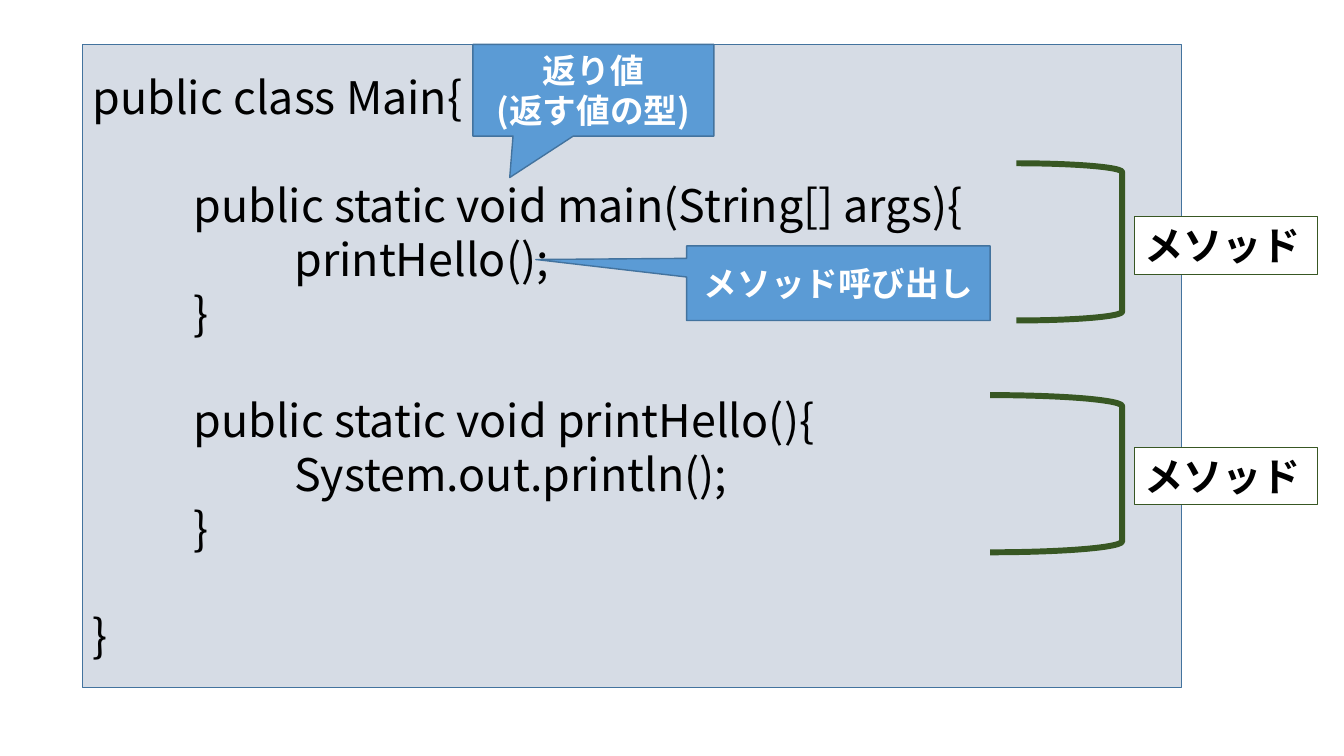
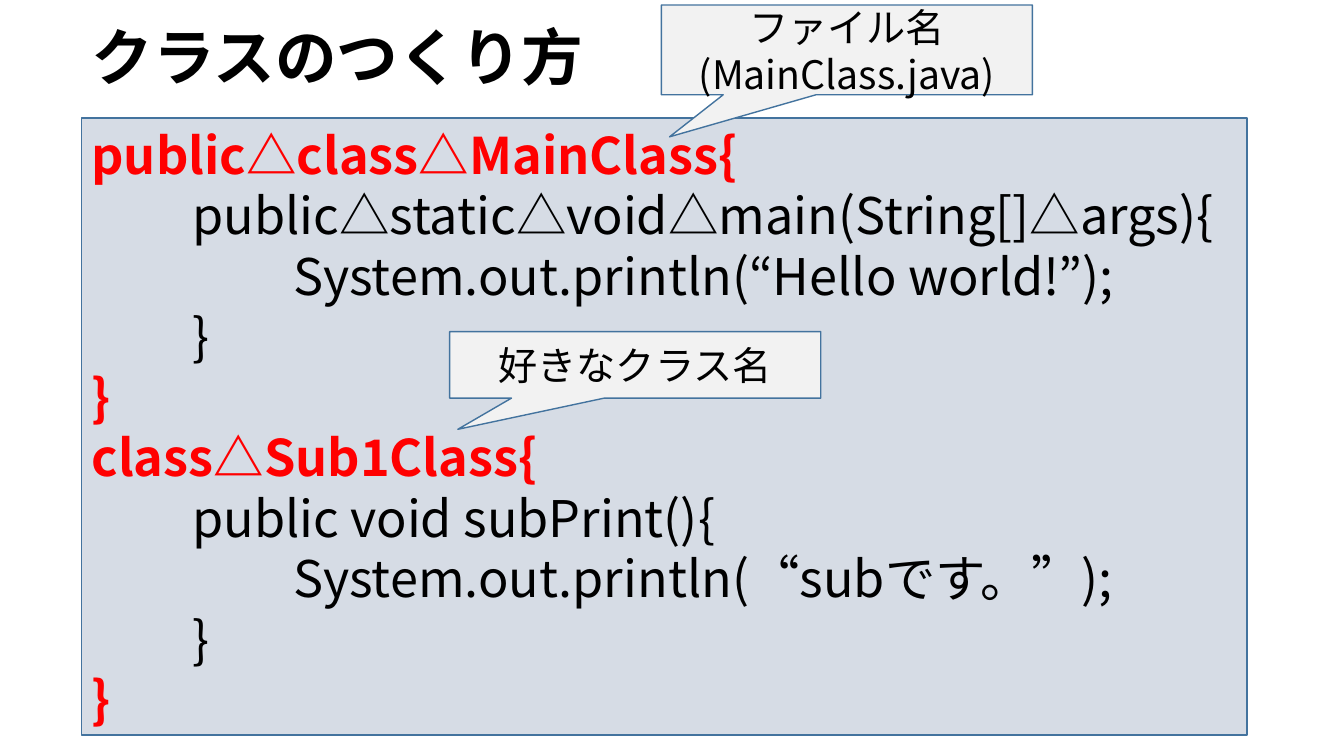
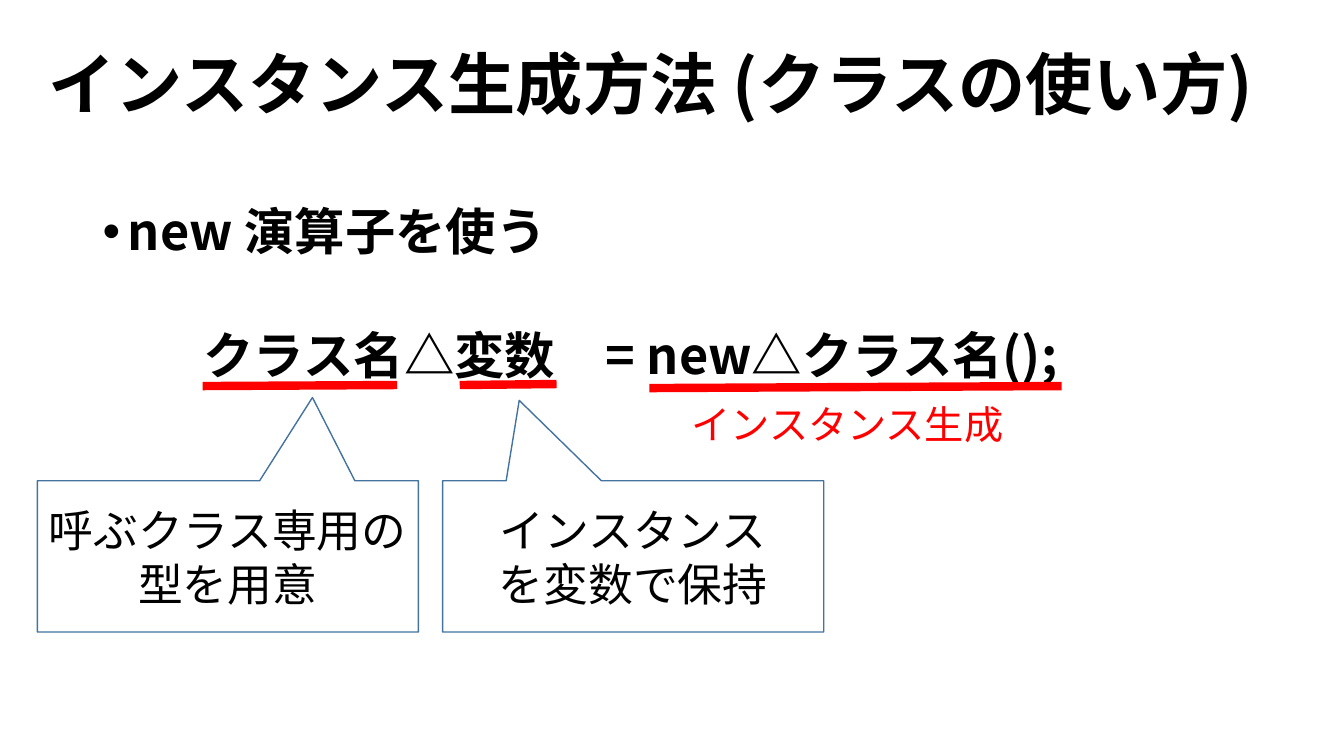
import pptx
import pptx.util
import pptx.dml.color
import pptx.enum.shapes
import pptx.enum.text
import pptx.oxml.ns
from lxml import etree

Inches = pptx.util.Inches
Pt = pptx.util.Pt
RGBColor = pptx.dml.color.RGBColor
SHAPE = pptx.enum.shapes.MSO_SHAPE
ANCHOR = pptx.enum.text.MSO_ANCHOR
ALIGN = pptx.enum.text.PP_ALIGN
qn = pptx.oxml.ns.qn

FONT = "Noto Sans CJK JP"
BLACK = RGBColor(0x00, 0x00, 0x00)
WHITE = RGBColor(0xFF, 0xFF, 0xFF)
RED = RGBColor(0xFF, 0x00, 0x00)
PANEL = RGBColor(0xD6, 0xDC, 0xE5)
BLUE = RGBColor(0x5B, 0x9B, 0xD5)
OUTLINE = RGBColor(0x43, 0x73, 0x9E)
GREEN = RGBColor(0x38, 0x57, 0x23)
PALE = RGBColor(0xF2, 0xF2, 0xF2)

LINE_GAP = 38.4
METHOD_CODE = [
    dict(text="public class Main{"),
    dict(text="public static void main(String[] args){", indent=1, before=LINE_GAP),
    dict(text="printHello();", indent=2),
    dict(text="}", indent=1),
    dict(text="public static void printHello(){", indent=1, before=LINE_GAP),
    dict(text="System.out.println();", indent=2),
    dict(text="}", indent=1),
    dict(text="}", before=LINE_GAP),
]
METHOD_CALLOUTS = [
    ((4.69, 0.44, 2.39, 0.91), (-0.347, 0.952), ["返り値", "(返す値の型)"]),
    ((6.81, 2.44, 3.01, 0.74), (-0.997, -0.318), ["メソッド呼び出し"]),
]
METHOD_BRACKETS = [(9.82, 3.92, 1.31, 1.56), (10.08, 1.62, 1.05, 1.56)]
METHOD_LABEL = "メソッド"
METHOD_LABEL_TOPS = [2.15, 4.44]

KEYWORD = dict(bold=True, color=RED)
CLASS_TITLE = "クラスのつくり方"
CLASS_CODE = [
    dict(text="public△class△MainClass{", **KEYWORD),
    dict(text="public△static△void△main(String[]△args){", indent=1),
    dict(text="System.out.println(“Hello world!”);", indent=2),
    dict(text="}", indent=1),
    dict(text="}", **KEYWORD),
    dict(text="class△Sub1Class{", **KEYWORD),
    dict(text="public void subPrint(){", indent=1),
    dict(text="System.out.println(“subです。”);", indent=2),
    dict(text="}", indent=1),
    dict(text="}", **KEYWORD),
]
CLASS_CALLOUTS = [
    ((6.56, 0.05, 3.68, 0.89), (-0.478, 0.969), ["ファイル名(MainClass.java)"]),
    ((4.46, 3.29, 3.68, 0.66), (-0.478, 0.969), ["好きなクラス名"]),
]

INSTANCE_TITLE = "インスタンス生成方法 (クラスの使い方)"
INSTANCE_BODY = [
    dict(text="new 演算子を使う", before=10, bullet="•"),
    dict(text="クラス名△変数\u3000= new△クラス名();".replace("\u3000", "　"), before=50, indent=1),
]
INSTANCE_UNDERLINES = [
    (2.01, 3.83, 3.94, 3.82),
    (4.56, 3.82, 5.52, 3.81),
    (6.44, 3.85, 10.53, 3.83),
]
INSTANCE_CALLOUTS = [
    ((0.37, 4.77, 3.78, 1.5), (0.222, -1.051), ["呼ぶクラス専用の型を用意"]),
    ((4.39, 4.77, 3.78, 1.5), (-0.299, -1.032), ["インスタンス", "を変数で保持"]),
]
INSTANCE_NOTE = "インスタンス生成"


def set_indent(paragraph, left, first=0):
    properties = paragraph._p.get_or_add_pPr()
    properties.set("marL", str(Inches(left)))
    properties.set("indent", str(Inches(first)))


def add_bullet(paragraph, character):
    set_indent(paragraph, 0.25, -0.25)
    font_defaults = paragraph._p.pPr.find(qn("a:defRPr"))
    for tag, attribute, value in (("a:buFont", "typeface", "Arial"), ("a:buChar", "char", character)):
        element = etree.Element(qn(tag))
        element.set(attribute, value)
        font_defaults.addprevious(element)


def write(shape, lines, size, color=BLACK, bold=False, align=ALIGN.LEFT,
          anchor=ANCHOR.MIDDLE, spacing=None, grow=False):
    frame = shape.text_frame
    frame.word_wrap = True
    frame.vertical_anchor = anchor
    if grow:
        frame.auto_size = pptx.enum.text.MSO_AUTO_SIZE.SHAPE_TO_FIT_TEXT
    for index, line in enumerate(lines):
        if isinstance(line, str):
            line = dict(text=line)
        paragraph = frame.paragraphs[0] if index == 0 else frame.add_paragraph()
        paragraph.add_run().text = line["text"]
        paragraph.alignment = align
        paragraph.line_spacing = spacing
        if "before" in line:
            paragraph.space_before = Pt(line["before"])
        font = paragraph.font
        font.name = FONT
        font.size = Pt(size)
        font.bold = line.get("bold", bold)
        font.color.rgb = line.get("color", color)
        east_asian = etree.SubElement(paragraph._p.pPr.find(qn("a:defRPr")), qn("a:ea"))
        east_asian.set("typeface", FONT)
        if "indent" in line:
            set_indent(paragraph, line["indent"])
        if "bullet" in line:
            add_bullet(paragraph, line["bullet"])


def add_box(slide, kind, box, fill, outline=OUTLINE, width=1):
    shape = slide.shapes.add_shape(kind, *map(Inches, box))
    shape.shadow.inherit = False
    if fill is None:
        shape.fill.background()
    else:
        shape.fill.solid()
        shape.fill.fore_color.rgb = fill
    shape.line.color.rgb = outline
    shape.line.width = Pt(width)
    return shape


def add_text(slide, box, lines, size, **style):
    write(slide.shapes.add_textbox(*map(Inches, box)), lines, size, **style)


def add_title(slide, box, text, size):
    add_text(slide, box, [text], size, bold=True, spacing=0.9)


def add_code(slide, box, lines, size):
    write(add_box(slide, SHAPE.RECTANGLE, box, PANEL), lines, size)


def add_callouts(slide, callouts, fill, size, **style):
    for box, pointer, lines in callouts:
        callout = add_box(slide, SHAPE.RECTANGULAR_CALLOUT, box, fill)
        for index, value in enumerate(pointer):
            callout.adjustments[index] = value
        write(callout, lines, size, align=ALIGN.CENTER, **style)


def add_underline(slide, ends):
    line = slide.shapes.add_connector(pptx.enum.shapes.MSO_CONNECTOR.STRAIGHT, *map(Inches, ends))
    line.line.color.rgb = RED
    line.line.width = Pt(6)
    etree.SubElement(line._element.spPr, qn("a:effectLst"))


def build_method_slide(slide):
    add_code(slide, (0.82, 0.44, 10.9, 6.38), METHOD_CODE, 32)
    add_callouts(slide, METHOD_CALLOUTS, BLUE, 24, color=WHITE, bold=True)
    for box in METHOD_BRACKETS:
        add_box(slide, SHAPE.RIGHT_BRACKET, box, None, GREEN, 4.25)
    for top in METHOD_LABEL_TOPS:
        label = add_box(slide, SHAPE.RECTANGLE, (11.25, top, 1.82, 0.57), WHITE, GREEN, 0.75)
        write(label, [METHOD_LABEL], 28, bold=True, anchor=ANCHOR.TOP, grow=True)


def build_class_slide(slide):
    add_title(slide, (0.81, 0.27, 11.5, 0.67), CLASS_TITLE, 44)
    add_code(slide, (0.81, 1.17, 11.56, 6.12), CLASS_CODE, 36)
    add_callouts(slide, CLASS_CALLOUTS, PALE, 28)


def build_instance_slide(slide):
    add_title(slide, (0.38, 0.27, 12.36, 1.2), INSTANCE_TITLE, 48)
    add_text(slide, (0.92, 2, 11.5, 4.76), INSTANCE_BODY, 36,
             bold=True, anchor=ANCHOR.TOP, spacing=0.9)
    for ends in INSTANCE_UNDERLINES:
        add_underline(slide, ends)
    add_callouts(slide, INSTANCE_CALLOUTS, WHITE, 32)
    add_text(slide, (6.76, 3.92, 3.78, 0.57), [INSTANCE_NOTE], 28,
             color=RED, anchor=ANCHOR.TOP, grow=True)


def main():
    presentation = pptx.Presentation()
    presentation.slide_width = Inches(13.33)
    presentation.slide_height = Inches(7.5)
    for build in (build_method_slide, build_class_slide, build_instance_slide):
        build(presentation.slides.add_slide(presentation.slide_layouts[6]))
    presentation.save("out.pptx")


if __name__ == "__main__":
    main()
